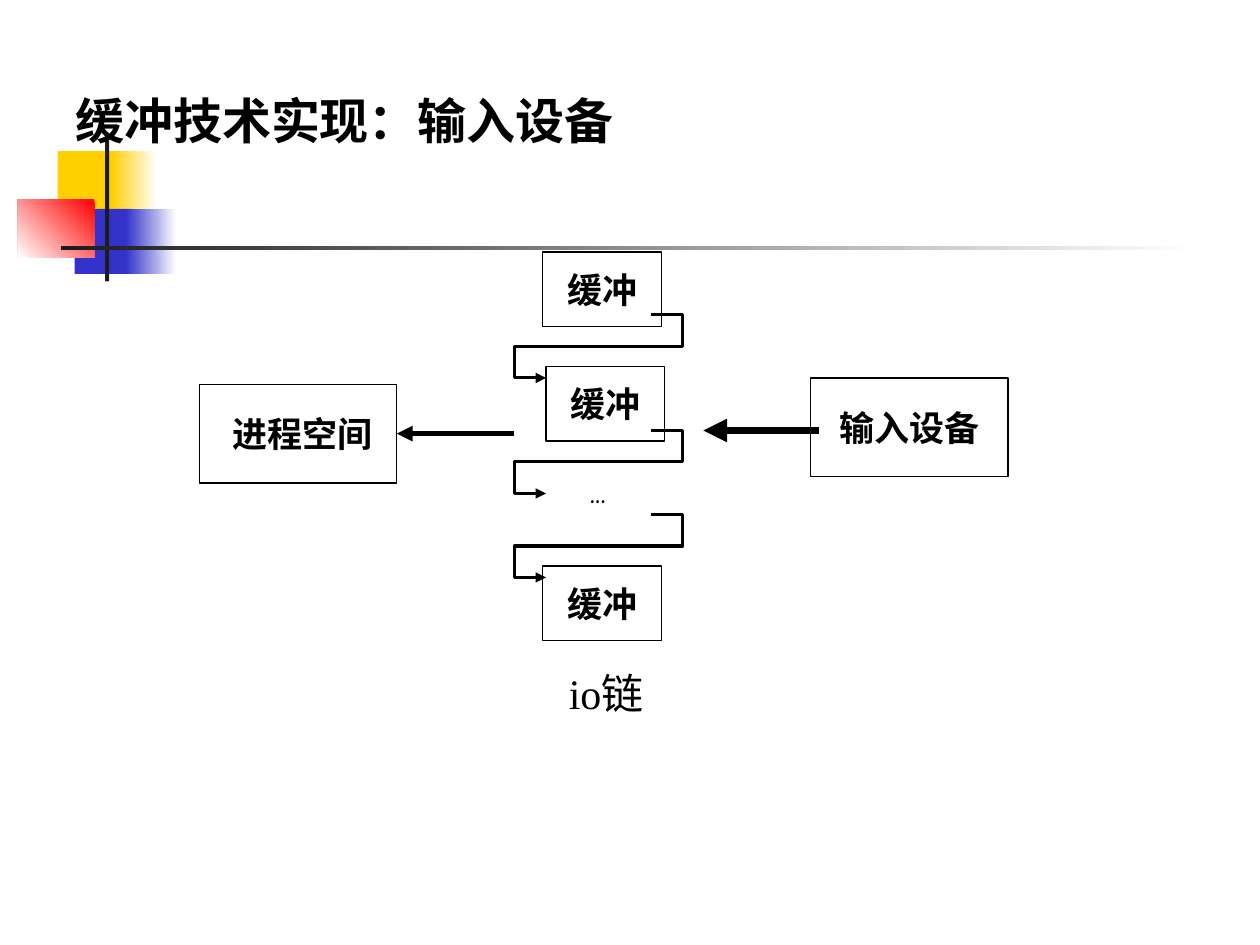
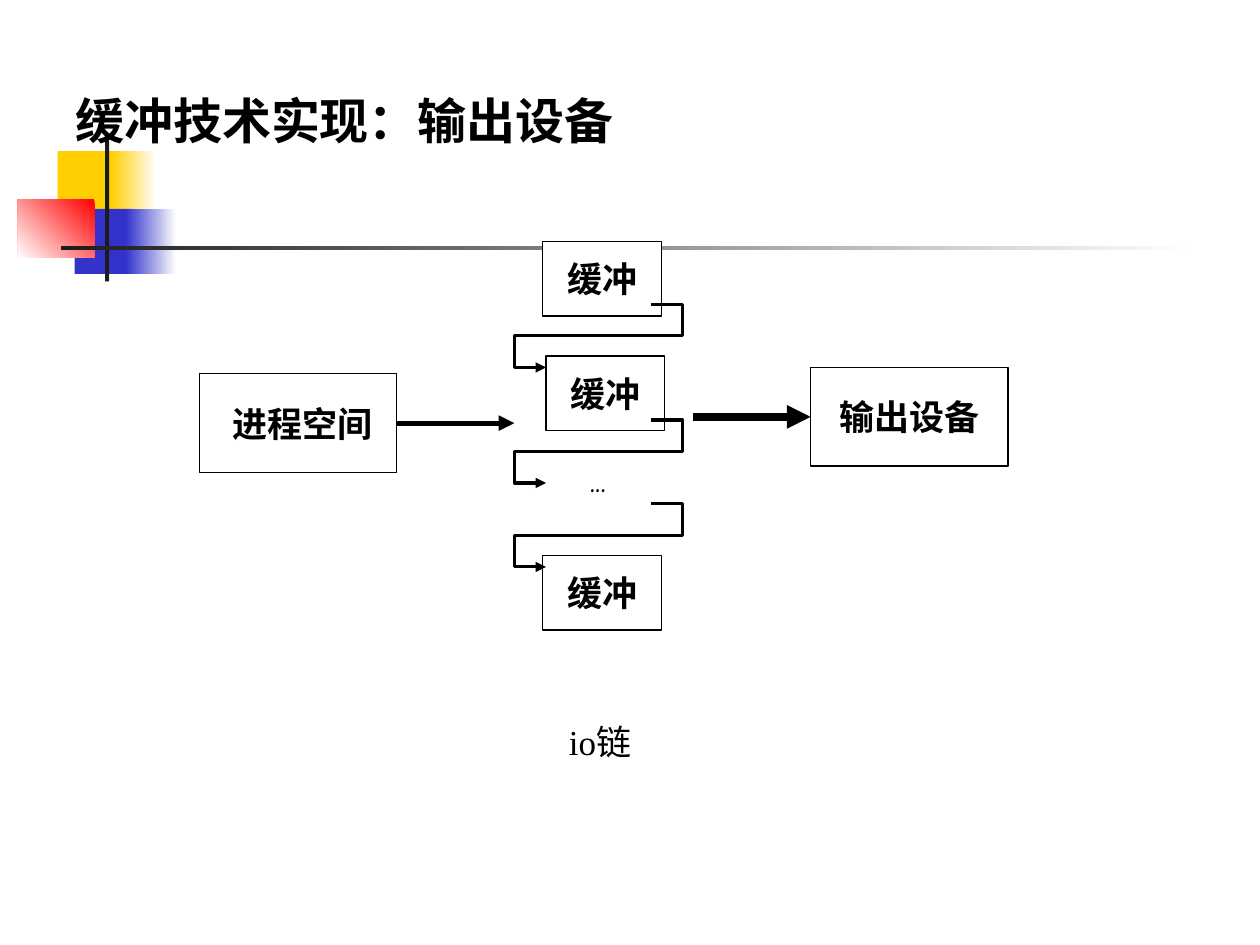
"""Two slides on buffering for input and output devices."""
from pptx import Presentation
from pptx.dml.color import RGBColor
from pptx.enum.shapes import MSO_CONNECTOR, MSO_SHAPE
from pptx.enum.text import MSO_ANCHOR, MSO_AUTO_SIZE, PP_ALIGN
from pptx.oxml.ns import qn
from pptx.util import Inches, Pt
from lxml import etree

RECT = MSO_SHAPE.RECTANGLE
LINE = MSO_CONNECTOR.STRAIGHT
MIDDLE = MSO_ANCHOR.MIDDLE
CENTER = PP_ALIGN.CENTER
FIT = MSO_AUTO_SIZE.SHAPE_TO_FIT_TEXT
LEFT, RIGHT = 1, 3

COLS, ROWS = 120, 90
SERIF, COMIC = "Times New Roman", "Comic Neue"
BLACK, WHITE, DARK = "000000", "FFFFFF", "1C1C1C"
GOLD, BLUE, RED = "FFCF01", "3333CC", "FF0000"
DECOR = [
    (5.5, 14.4, 5.8, 6.2, [GOLD], 0),
    (10.6, 14.4, 4.3, 6.2, [WHITE, GOLD], 180),
    (7.1, 19.9, 5.5, 6.2, [BLUE], 0),
    (12, 19.9, 4.8, 6.2, [WHITE, BLUE], 180),
    (1.7, 19, 7.3, 5.5, [RED, WHITE], 225),
    (10, 13, 0.4, 13.8, [DARK], 0),
    (5.8, 23.4, 108, 0.4, [WHITE, DARK], 180),
]


def rgb(code):
    return RGBColor.from_string(code)


class Deck:
    """Holds the style and the current slide, measured in grid cells."""

    def __init__(self):
        self.prs = Presentation()
        self.prs.slide_width, self.prs.slide_height = Inches(10), Inches(7.5)
        self.wide = self.prs.slide_width / COLS
        self.high = self.prs.slide_height / ROWS

    def cells(self, *vals):
        units = (self.wide, self.high) * 2
        return [round(v * u) for v, u in zip(vals, units)]

    def slide(self, title):
        self.page = self.prs.slides.add_slide(self.prs.slide_layouts[6])
        for *spot, tones, turn in DECOR:
            self.rect(spot, tones, turn)
        self.text((6, 8, 65, 6.8), title, 28, bold=True)

    def rect(self, spot, tones, turn=0):
        shape = self.page.shapes.add_shape(RECT, *self.cells(*spot))
        shape.shadow.inherit = False
        shape.line.fill.background()
        if len(tones) == 1:
            shape.fill.solid()
            shape.fill.fore_color.rgb = rgb(tones[0])
        else:
            shape.fill.gradient()
            shape.fill.gradient_angle = turn
            for stop, tone in zip(shape.fill.gradient_stops, tones):
                stop.color.rgb = rgb(tone)
        return shape

    def label(self, frame, words, size, font=SERIF, bold=False):
        run = frame.paragraphs[0].add_run()
        run.text = words
        run.font.name, run.font.size, run.font.bold = font, Pt(size), bold
        run.font.color.rgb = rgb(BLACK)

    def text(self, spot, words, size, font=SERIF, bold=False):
        frame = self.page.shapes.add_textbox(*self.cells(*spot)).text_frame
        frame.word_wrap = True
        frame.auto_size = FIT
        self.label(frame, words, size, font, bold)

    def box(self, spot, words):
        shape = self.rect(spot, [WHITE])
        self.ink(shape, 0.75)
        frame = shape.text_frame
        frame.word_wrap = False
        frame.vertical_anchor = MIDDLE
        frame.paragraphs[0].alignment = CENTER
        self.label(frame, words, 20, bold=True)
        return shape

    def ink(self, shape, width, tip=False):
        shape.line.color.rgb = rgb(BLACK)
        shape.line.width = Pt(width)
        if tip:
            line = shape.element.spPr.find(qn("a:ln"))
            etree.SubElement(line, qn("a:tailEnd"), type="triangle")

    def arrow(self, start, end, width, source=None, target=None):
        line = self.page.shapes.add_connector(LINE, *self.cells(*start, *end))
        if source:
            line.begin_connect(*source)
        if target:
            line.end_connect(*target)
        self.ink(line, width, tip=True)
        etree.SubElement(line.element.spPr, qn("a:effectLst"))

    def link(self, row):
        spots = [(62, 0), (65, 0), (65, 3), (49, 3), (49, 6), (52, 6)]
        first, *rest = [self.cells(x, row + y) for x, y in spots]
        pen = self.page.shapes.build_freeform(*first)
        pen.add_line_segments(rest, close=False)
        shape = pen.convert_to_shape()
        shape.shadow.inherit = False
        shape.fill.background()
        self.ink(shape, 1.75, tip=True)

    def chain(self, top, device):
        space = self.box((19, top + 12.6, 18.8, 9.4), " 进程空间")
        gear = self.box((77.2, top + 12, 18.8, 9.4), device)
        for x, y in [(51.7, 0), (52, 10.9), (51.7, 29.9)]:
            self.box((x, top + y, 11.3, 7.1), "缓冲")
        for y in (6, 17, 25):
            self.link(top + y)
        self.text((55, top + 20, 7, 5.3), "...", 20, COMIC)
        return space, gear


def main():
    deck = Deck()

    deck.slide("缓冲技术实现：输入设备")
    space, gear = deck.chain(24, "输入设备")
    deck.arrow((49, 41.3), (38, 41.3), 3, target=(space, RIGHT))
    deck.arrow((78, 41), (67, 41), 4.5)
    deck.text((53, 63, 12, 6), "io链", 24)

    deck.slide("缓冲技术实现：输出设备")
    space, gear = deck.chain(23, "输出设备")
    deck.arrow((38, 40.3), (49, 40.3), 3, source=(space, RIGHT))
    deck.arrow((66, 39.7), (77, 39.7), 4.5, target=(gear, LEFT))
    deck.text((53, 68, 12, 5.3), "io链", 20)

    deck.prs.save("out.pptx")


if __name__ == "__main__":
    main()
